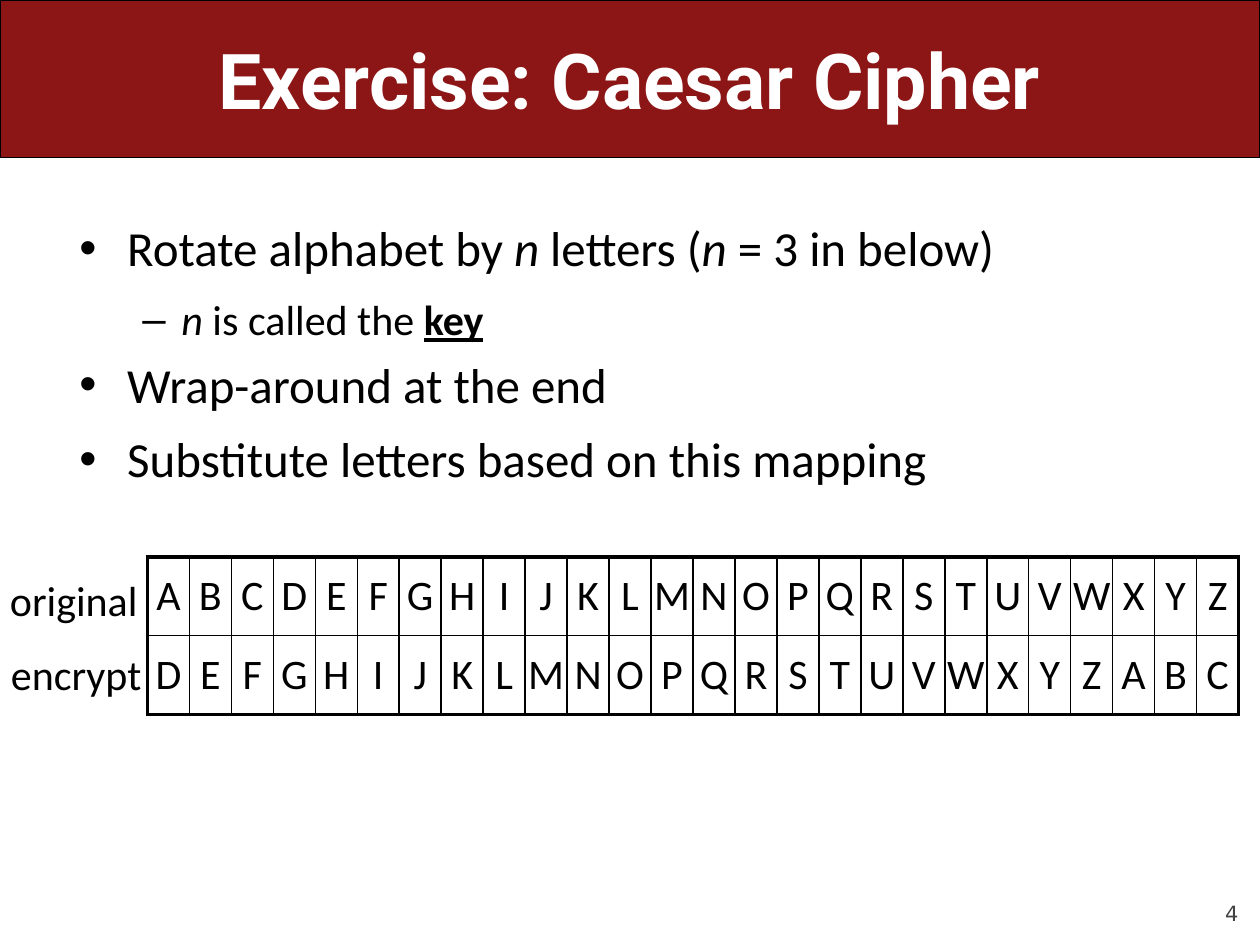
from dataclasses import dataclass

from lxml.etree import SubElement
from pptx import Presentation
from pptx.dml.color import RGBColor
from pptx.enum.shapes import MSO_SHAPE as Shape
from pptx.enum.text import MSO_ANCHOR as Anchor, MSO_AUTO_SIZE as AutoSize, PP_ALIGN as Align
from pptx.oxml.ns import qn
from pptx.util import Inches, Pt

BLACK = RGBColor(0x00, 0x00, 0x00)
WHITE = RGBColor(0xFF, 0xFF, 0xFF)
CARDINAL = RGBColor(0x8C, 0x15, 0x15)
GREY = RGBColor(0x42, 0x42, 0x42)

ALPHABET = "ABCDEFGHIJKLMNOPQRSTUVWXYZ"
KEY = 3
THIN, THICK = 1, 2.25


@dataclass
class Span:
    text: str
    italic: bool = False
    strong: bool = False


@dataclass
class Bullet:
    spans: list[Span]
    level: int = 0


@dataclass
class Level:
    mark: str
    size: int
    margin: float
    hanging: float
    space_after: int


@dataclass
class Label:
    text: str
    left: float
    top: float
    width: float
    height: float
    size: int = 24
    font: str = "Calibri"
    color: RGBColor = BLACK
    align: Align = Align.CENTER
    anchor: Anchor = Anchor.MIDDLE


LEVELS = [Level("•", 28, 0.38, 0.38, 14), Level("–", 24, 0.81, 0.31, 11)]

BULLETS = [
    Bullet([Span("Rotate alphabet by "), Span("n", italic=True), Span(" letters ("),
            Span("n", italic=True), Span(" = 3 in below)")]),
    Bullet([Span("n", italic=True), Span(" is called the "), Span("key", strong=True)], level=1),
    Bullet([Span("Wrap-around at the end")]),
    Bullet([Span("Substitute letters based on this mapping")]),
]

LABELS = [
    Label("original", -0.04, 4.51, 1.25, 0.5),
    Label("encrypt", -0.02, 5.1, 1.25, 0.5),
    Label("4", 9, 6.95, 0.83, 0.4, 12, "DejaVu Sans", GREY, Align.RIGHT, Anchor.BOTTOM),
]


def place(shape, left: float, top: float, width: float, height: float) -> None:
    shape.left, shape.top = Inches(left), Inches(top)
    shape.width, shape.height = Inches(width), Inches(height)


def set_font(font, name: str, size: int, color: RGBColor) -> None:
    font.name, font.size = name, Pt(size)
    font.color.rgb = color


def add_title(page, text: str) -> None:
    title = page.shapes.title
    place(title, 0.5, 0, 9, 1.25)
    frame = title.text_frame
    frame.text = text
    frame.auto_size = AutoSize.NONE
    frame.vertical_anchor = Anchor.MIDDLE
    paragraph = frame.paragraphs[0]
    paragraph.alignment = Align.CENTER
    for span in paragraph.runs:
        set_font(span.font, "Roboto", 44, WHITE)
        span.font.bold = True


def add_banner(page) -> None:
    banner = page.shapes.add_shape(Shape.ROUNDED_RECTANGLE, 0, 0, Inches(10), Inches(1.25))
    banner.adjustments[0] = 0
    banner.shadow.inherit = False
    banner.fill.solid()
    banner.fill.fore_color.rgb = CARDINAL
    banner.line.color.rgb = BLACK
    banner.line.width = Pt(0.75)
    # Keep the banner behind the title
    page.shapes.title.element.addprevious(banner.element)


def add_bullets(body, bullets: list[Bullet]) -> None:
    place(body, 0.53, 1.75, 8.89, 5.07)
    frame = body.text_frame
    frame.auto_size = AutoSize.NONE
    frame.text = "\n".join("".join(span.text for span in item.spans) for item in bullets)
    for paragraph, item in zip(frame.paragraphs, bullets):
        level = LEVELS[item.level]
        paragraph.clear()
        paragraph.level = item.level
        properties = paragraph._p.get_or_add_pPr()
        properties.set("marL", str(Inches(level.margin)))
        properties.set("indent", str(-Inches(level.hanging)))
        SubElement(properties, qn("a:buChar")).set("char", level.mark)
        paragraph.alignment = Align.LEFT
        paragraph.line_spacing = 0.85
        paragraph.space_before = Pt(0)
        paragraph.space_after = Pt(level.space_after)
        for part in item.spans:
            span = paragraph.add_run()
            span.text = part.text
            set_font(span.font, "Calibri", level.size, BLACK)
            span.font.italic = part.italic
            span.font.bold = span.font.underline = part.strong


def set_border(cell, side: str, width: float) -> None:
    line = SubElement(cell._tc.get_or_add_tcPr(), qn(f"a:ln{side}"), w=str(Pt(width)))
    fill = SubElement(line, qn("a:solidFill"))
    SubElement(fill, qn("a:srgbClr"), val=str(BLACK))


def add_cipher_table(page, rows: list[str]) -> None:
    columns = len(rows[0])
    table = page.shapes.add_table(len(rows), columns, Inches(1.17), Inches(4.42),
                                  Inches(8.67), Inches(1.25)).table
    table.first_row = table.horz_banding = False
    for row, letters in enumerate(rows):
        for column, letter in enumerate(letters):
            cell = table.cell(row, column)
            cell.text = letter
            cell.vertical_anchor = Anchor.MIDDLE
            cell.margin_left = cell.margin_right = 0
            cell.margin_top = cell.margin_bottom = Inches(0.05)
            paragraph = cell.text_frame.paragraphs[0]
            paragraph.alignment = Align.CENTER
            set_font(paragraph.runs[0].font, "Calibri", 24, BLACK)
            # Thick frame outside, thin grid inside
            outer = {"L": column == 0, "R": column == columns - 1,
                     "T": row == 0, "B": row == len(rows) - 1}
            for side, is_outer in outer.items():
                set_border(cell, side, THICK if is_outer else THIN)
            cell.fill.background()


def add_label(page, label: Label) -> None:
    box = page.shapes.add_textbox(Inches(label.left), Inches(label.top),
                                  Inches(label.width), Inches(label.height))
    frame = box.text_frame
    frame.text = label.text
    frame.word_wrap = True
    frame.vertical_anchor = label.anchor
    frame.margin_left = frame.margin_right = frame.margin_top = frame.margin_bottom = 0
    paragraph = frame.paragraphs[0]
    paragraph.alignment = label.align
    set_font(paragraph.runs[0].font, label.font, label.size, label.color)


def main() -> None:
    deck = Presentation()
    deck.slide_width, deck.slide_height = Inches(10), Inches(7.5)
    page = deck.slides.add_slide(deck.slide_layouts[1])

    # Heading and list
    add_title(page, "Exercise: Caesar Cipher")
    add_banner(page)
    add_bullets(page.placeholders[1], BULLETS)

    # Letter mapping, row labels and page number
    add_cipher_table(page, [ALPHABET, ALPHABET[KEY:] + ALPHABET[:KEY]])
    for label in LABELS:
        add_label(page, label)

    deck.save("out.pptx")


if __name__ == "__main__":
    main()
